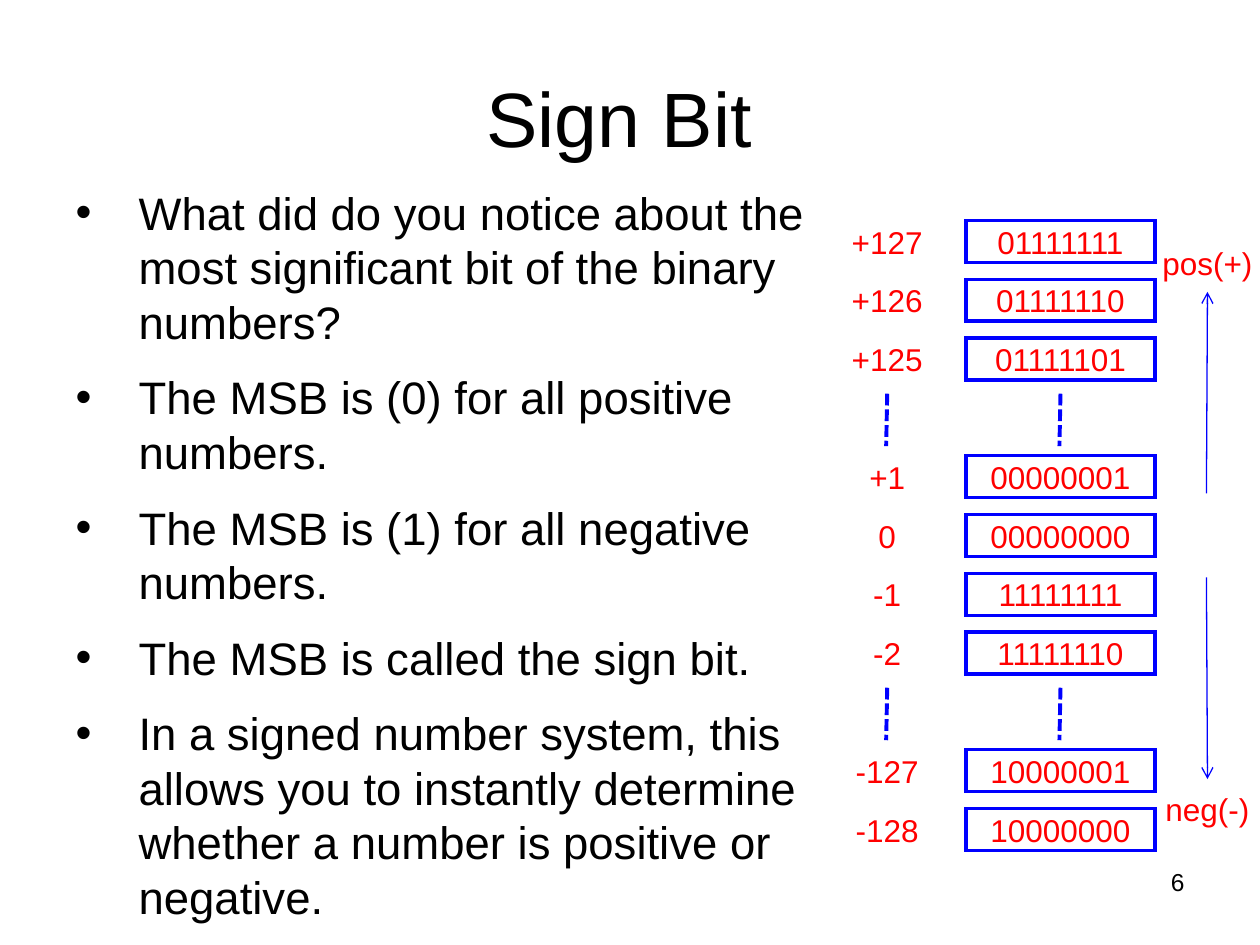
from lxml.etree import SubElement
from pptx import Presentation
from pptx.dml.color import RGBColor
from pptx.enum.dml import MSO_LINE as Dash
from pptx.enum.shapes import MSO_CONNECTOR as Connector, MSO_SHAPE as Shape
from pptx.enum.text import MSO_ANCHOR as Anchor, MSO_AUTO_SIZE as AutoSize, PP_ALIGN as Align
from pptx.oxml.ns import qn
from pptx.util import Pt

PX = 7620
BLACK, BLUE, RED = "000000", "0000FF", "FF0000"
BULLETS = [
    "What did do you notice about the most significant bit of the binary numbers?",
    "The MSB is (0) for all positive numbers.",
    "The MSB is (1) for all negative numbers.",
    "The MSB is called the sign bit.",
    "In a signed number system, this allows you to instantly determine "
    "whether a number is positive or negative.",
]
NUMBERS = [127, 126, 125, None, 1, 0, -1, -2, None, -127, -128]


def color(value):
    """Turn a hex string into a colour."""
    return RGBColor.from_string(value)


def emu(*lengths):
    """Scale px lengths to EMU."""
    return [length * PX for length in lengths]


def place(shape, box):
    """Move a shape to a px box."""
    shape.left, shape.top, shape.width, shape.height = emu(*box)


def style(paragraph, size, hex_color, align):
    """Set the font and alignment of a paragraph."""
    paragraph.alignment = align
    paragraph.font.name = "Arial"
    paragraph.font.size = Pt(size)
    paragraph.font.color.rgb = color(hex_color)


def write(shape, text, size=18, hex_color=RED, align=Align.CENTER, anchor=Anchor.MIDDLE):
    """Put one styled paragraph into a shape."""
    frame = shape.text_frame
    frame.word_wrap = True
    frame.auto_size = AutoSize.NONE
    frame.vertical_anchor = anchor
    frame.text = text
    style(frame.paragraphs[0], size, hex_color, align)


def add_label(slide, box, text, **options):
    """Add a text box."""
    write(slide.shapes.add_textbox(*emu(*box)), text, **options)


def add_bit_box(slide, box, bits):
    """Add a square-cornered outlined rectangle holding a bit pattern."""
    shape = slide.shapes.add_shape(Shape.RECTANGLE, *emu(*box))
    shape.shadow.inherit = False
    shape.fill.background()
    shape.line.color.rgb = color(BLUE)
    shape.line.width = Pt(2)
    SubElement(shape.line._get_or_add_ln(), qn("a:miter"), lim="800000")
    write(shape, bits)


def add_line(slide, start, end, width):
    """Add a blue line between two px points and return it."""
    line = slide.shapes.add_connector(Connector.STRAIGHT, *emu(*start, *end))
    line.line.color.rgb = color(BLUE)
    line.line.width = Pt(width)
    SubElement(line._element.spPr, qn("a:effectLst"))
    return line


def add_title(slide, box):
    """Fill the title placeholder."""
    place(slide.shapes.title, box)
    write(slide.shapes.title, "Sign Bit ", size=44, hex_color=BLACK)


def add_bullets(slide, box):
    """Fill the body placeholder with the bullet list."""
    body = slide.placeholders[1]
    place(body, box)
    frame = body.text_frame
    frame.text = "\n".join(BULLETS)
    frame.auto_size = AutoSize.NONE
    for paragraph in frame.paragraphs:
        style(paragraph, 26, BLACK, Align.LEFT)
        paragraph.space_before = Pt(0)
        paragraph.space_after = Pt(12)
        paragraph.line_spacing = 1.0
        properties = paragraph._p.get_or_add_pPr()
        properties.set("marL", str(60 * PX))
        properties.set("indent", str(-60 * PX))


def add_number_table(slide, left, top):
    """Add the decimal labels beside their two's complement patterns."""
    label_width, bits_left, bits_width, height, pitch = 130, 140, 180, 40, 56
    for row, number in enumerate(NUMBERS):
        y = top + row * pitch
        if number is None:
            for x in (left + label_width // 2, left + bits_left + bits_width // 2):
                line = add_line(slide, (x, y - 3), (x - 1, y + 47), 2.25)
                line.line.dash_style = Dash.SQUARE_DOT
            continue
        text = f"{number:+d}" if number else "0"
        add_label(slide, (left, y, label_width, height), text)
        add_bit_box(slide, (left + bits_left, y, bits_width, height), f"{number % 256:08b}")


def add_sign_arrows(slide, left, top):
    """Add the captioned arrows for the positive and negative ranges."""
    x = left + 60
    for caption, caption_y, start, end in (("pos(+)", 0, 240, 48), ("neg(-)", 520, 320, 512)):
        add_label(slide, (left, top + caption_y, 120, 40), caption)
        arrow = add_line(slide, (x - 1, top + start), (x, top + end), 0.75)
        SubElement(arrow.line._get_or_add_ln(), qn("a:tailEnd"), type="arrow")


def main():
    """Build and save the slide."""
    presentation = Presentation()
    presentation.slide_width, presentation.slide_height = emu(1200, 900)
    slide = presentation.slides.add_slide(presentation.slide_layouts[1])
    add_title(slide, (60, 36, 1080, 150))
    add_bullets(slide, (60, 170, 730, 730))
    add_number_table(slide, 780, 210)
    add_sign_arrows(slide, 1090, 230)
    add_label(slide, (860, 820, 280, 62), "6", size=14, hex_color=BLACK,
              align=Align.RIGHT, anchor=Anchor.TOP)
    presentation.save("out.pptx")


if __name__ == "__main__":
    main()
